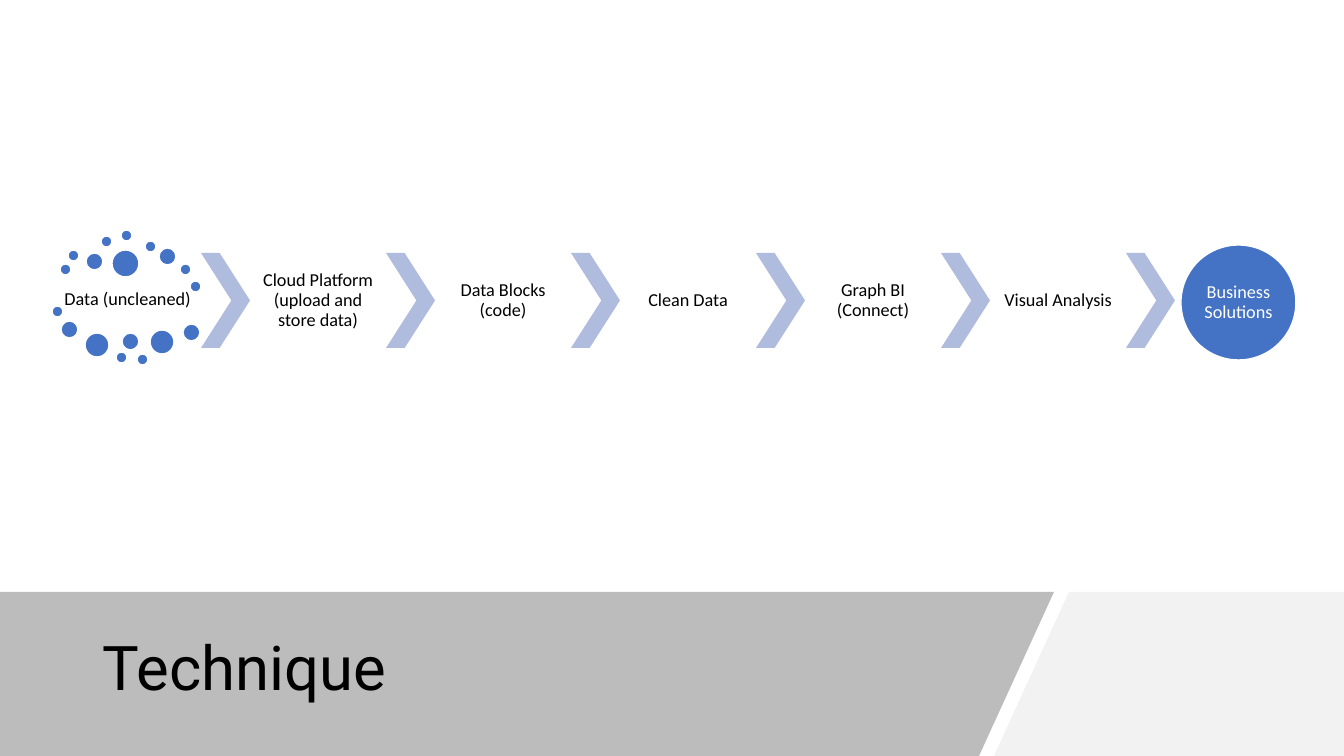
from lxml import etree
from pptx import Presentation
from pptx import util as u
from pptx.dml.color import RGBColor
from pptx.enum import shapes, text
from pptx.oxml import ns

PX = 914400 / 100.8
SLIDE_W, SLIDE_H = 1344, 756
BLUE, PALE_BLUE, WHITE, BLACK = "4472C4", "B0BCDE", "FFFFFF", "000000"
LIGHT_GREY, DARK_GREY = "F2F2F2", "595959"

STAGES = [
    ["Cloud Platform", "(upload and", "store data)"],
    ["Data Blocks", "(code)"],
    ["Clean Data"],
    ["Graph BI", "(Connect)"],
    ["Visual Analysis"],
]
DOTS = [
    (8, 34, 11), (16, 20, 11), (34, 23, 17), (49, 6, 11), (69, 0, 11), (93, 11, 11),
    (107, 18, 17), (128, 34, 11), (138, 51, 11), (60, 20, 27), (0, 76, 11), (9, 91, 17),
    (33, 103, 24), (64, 122, 11), (70, 103, 17), (85, 124, 11), (98, 100, 24), (131, 94, 17),
]


def px(length):
    return u.Emu(round(length * PX))


def color(hex_string):
    return RGBColor.from_string(hex_string)


def paint(shape, fill, outline=None, alpha=None):
    shape.shadow.inherit = False
    shape.fill.solid()
    shape.fill.fore_color.rgb = color(fill)
    if alpha is not None:
        swatch = shape.fill._xPr.find(".//" + ns.qn("a:srgbClr"))
        etree.SubElement(swatch, ns.qn("a:alpha")).set("val", str(alpha * 1000))
    if outline:
        shape.line.color.rgb = color(outline)
        shape.line.width = u.Pt(1)
    else:
        shape.line.fill.background()


def add_preset(slide, kind, box, fill, outline=None):
    preset = slide.shapes.add_shape(kind, *map(px, box))
    paint(preset, fill, outline)
    return preset


def add_polygon(slide, points, fill, alpha=None):
    builder = slide.shapes.build_freeform(*points[0], scale=PX)
    builder.add_line_segments(points[1:], close=True)
    paint(builder.convert_to_shape(), fill, alpha=alpha)


def write(shape, lines, size, font, ink, align, margin_x, margin_y):
    frame = shape.text_frame
    frame.word_wrap = True
    frame.vertical_anchor = text.MSO_ANCHOR.MIDDLE
    frame.margin_left = frame.margin_right = px(margin_x)
    frame.margin_top = frame.margin_bottom = px(margin_y)
    paragraph = frame.paragraphs[0]
    paragraph.alignment = align
    paragraph.line_spacing = 0.9
    for number, line in enumerate(lines):
        if number:
            paragraph.add_line_break()
        run = paragraph.add_run()
        run.text = line
        run.font.size = u.Pt(size)
        run.font.name = font
        run.font.color.rgb = color(ink)


def write_step(shape, lines, ink=BLACK, margin=2):
    write(shape, lines, 13, "Calibri", ink, text.PP_ALIGN.CENTER, margin, margin)


def add_label(slide, box, lines):
    write_step(slide.shapes.add_textbox(*map(px, box)), lines)


def title_band(slide, left, top, width, height):
    right, bottom = left + width, top + height
    slant = 75
    grey_edge, light_edge = left + 1054, left + 1069
    add_polygon(slide, [(light_edge, top), (right, top), (right, bottom),
                        (light_edge - slant, bottom)], LIGHT_GREY)
    add_polygon(slide, [(left, top), (grey_edge, top), (grey_edge - slant, bottom),
                        (left, bottom)], DARK_GREY, alpha=40)
    title = slide.shapes.add_textbox(*map(px, (left + 93, top + 18, 890, 121)))
    write(title, ["Technique"], 44, "Roboto", BLACK, text.PP_ALIGN.LEFT, 10, 5)


def raw_data_cluster(slide, left, top):
    add_label(slide, (left + 8, top + 48, 135, 44), ["Data (uncleaned)"])
    for x, y, diameter in DOTS:
        add_preset(slide, shapes.MSO_SHAPE.OVAL,
                   (left + x, top + y, diameter, diameter), BLUE, WHITE)


def stage_chain(slide, left, top, height):
    arrow_w, label_w = 49, 136
    pitch = arrow_w + label_w
    for number in range(len(STAGES) + 1):
        x = left + number * pitch
        chevron = add_preset(slide, shapes.MSO_SHAPE.CHEVRON,
                             (x, top, arrow_w, height), PALE_BLUE)
        chevron.adjustments[0] = 0.62
        if number < len(STAGES):
            add_label(slide, (x + arrow_w, top, label_w, height), STAGES[number])


def outcome_circle(slide, left, top, diameter):
    outcome = add_preset(slide, shapes.MSO_SHAPE.OVAL,
                         (left, top, diameter, diameter), BLUE, WHITE)
    write_step(outcome, ["Business", "Solutions"], WHITE, 0)


def main():
    deck = Presentation()
    deck.slide_width, deck.slide_height = px(SLIDE_W), px(SLIDE_H)
    slide = deck.slides.add_slide(deck.slide_layouts[6])
    title_band(slide, 0, 592, SLIDE_W, 164)
    raw_data_cluster(slide, 52, 230)
    stage_chain(slide, 201, 253, 95)
    outcome_circle(slide, 1181, 245, 115)
    deck.save("out.pptx")


if __name__ == "__main__":
    main()
